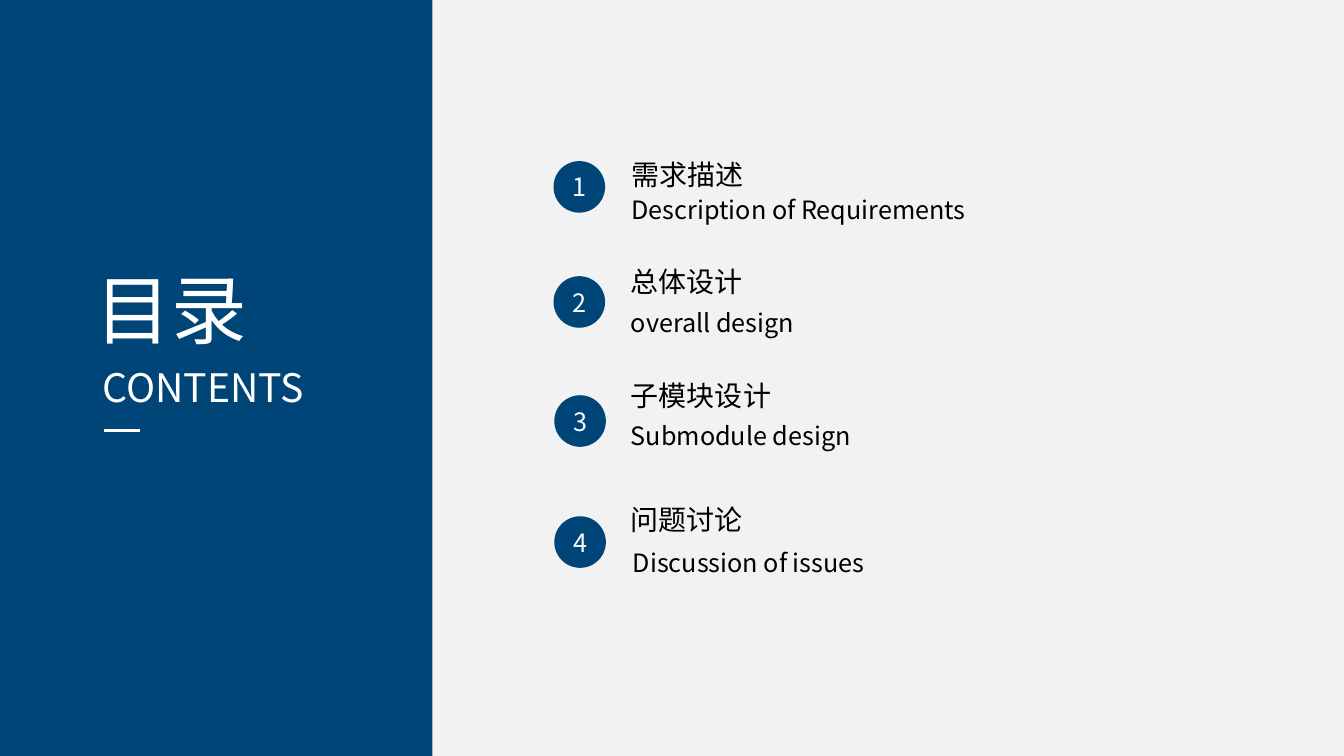
from lxml import etree
from pptx import Presentation
from pptx.dml.color import RGBColor
from pptx.enum.shapes import MSO_CONNECTOR, MSO_SHAPE
from pptx.enum.text import MSO_ANCHOR, MSO_AUTO_SIZE, PP_ALIGN
from pptx.oxml.ns import qn
from pptx.util import Cm, Pt

RECTANGLE = MSO_SHAPE.RECTANGLE
OVAL = MSO_SHAPE.OVAL
STRAIGHT = MSO_CONNECTOR.STRAIGHT
MIDDLE = MSO_ANCHOR.MIDDLE
GROW = MSO_AUTO_SIZE.SHAPE_TO_FIT_TEXT
LEFT, CENTER, JUSTIFY = PP_ALIGN.LEFT, PP_ALIGN.CENTER, PP_ALIGN.JUSTIFY

FONT = "Noto Sans CJK SC"
COLORS = {"navy": "004578", "gray": "F2F2F2", "white": "FFFFFF", "black": "000000"}
BADGE_SIZE = 1.3

CHAPTERS = [
    ("需求描述", "Description of Requirements", 13.95, 4.06, 15.67, 3.84, 15.67, 4.78),
    ("总体设计", "overall design", 13.95, 6.96, 15.65, 6.53, 15.65, 7.62),
    ("子模块设计", "Submodule design", 13.97, 9.96, 15.65, 9.42, 15.65, 10.46),
    ("问题讨论", "Discussion of issues", 13.97, 13.01, 15.65, 12.55, 15.7, 13.67),
]


def color(name):
    return RGBColor.from_string(COLORS[name])


def write(frame, text, size, ink, align):
    frame.text = text
    paragraph = frame.paragraphs[0]
    paragraph.alignment = align
    font = paragraph.runs[0].font
    font.size = Pt(size)
    font.name = FONT
    font.color.rgb = color(ink)
    latin = font._element.find(qn("a:latin"))
    east_asian = etree.Element(qn("a:ea"), typeface=FONT)
    latin.addnext(east_asian)


def add_label(slide, text, left, top, width, height, size, ink="black", align=LEFT):
    label = slide.shapes.add_textbox(Cm(left), Cm(top), Cm(width), Cm(height))
    label.text_frame.word_wrap = True
    label.text_frame.auto_size = GROW
    write(label.text_frame, text, size, ink, align)


def add_block(slide, kind, left, top, width, height):
    block = slide.shapes.add_shape(kind, Cm(left), Cm(top), Cm(width), Cm(height))
    block.shadow.inherit = False
    block.fill.solid()
    block.fill.fore_color.rgb = color("navy")
    block.line.fill.background()
    return block


def add_badge(slide, number, left, top):
    frame = add_block(slide, OVAL, left, top, BADGE_SIZE, BADGE_SIZE).text_frame
    frame.margin_left = frame.margin_right = Cm(0)
    frame.margin_top = frame.margin_bottom = Cm(0)
    frame.vertical_anchor = MIDDLE
    write(frame, str(number), 18, "white", CENTER)


def add_rule(slide, left, top, width):
    rule = slide.shapes.add_connector(STRAIGHT, Cm(left), Cm(top), Cm(left + width), Cm(top))
    rule.line.color.rgb = color("white")
    rule.line.width = Pt(2.25)
    etree.SubElement(rule._element.spPr, qn("a:effectLst"))


def main():
    deck = Presentation()
    deck.slide_width, deck.slide_height = Cm(33.87), Cm(19.05)
    slide = deck.slides.add_slide(deck.slide_layouts[6])
    slide.background.fill.solid()
    slide.background.fill.fore_color.rgb = color("gray")

    add_block(slide, RECTANGLE, 0, 0, 10.9, 19.05)
    add_label(slide, "目录", 2.16, 6.5, 4.52, 2.57, 54, "white", JUSTIFY)
    add_label(slide, "CONTENTS", 2.34, 9.04, 6.22, 1.45, 28, "white", JUSTIFY)
    add_rule(slide, 2.62, 10.85, 0.91)

    for number, chapter in enumerate(CHAPTERS, start=1):
        title, subtitle, badge_x, badge_y, title_x, title_y, subtitle_x, subtitle_y = chapter
        add_badge(slide, number, badge_x, badge_y)
        add_label(slide, title, title_x, title_y, 5, 1.12, 20)
        add_label(slide, subtitle, subtitle_x, subtitle_y, 9.97, 1.02, 18)

    deck.save("out.pptx")


if __name__ == "__main__":
    main()
